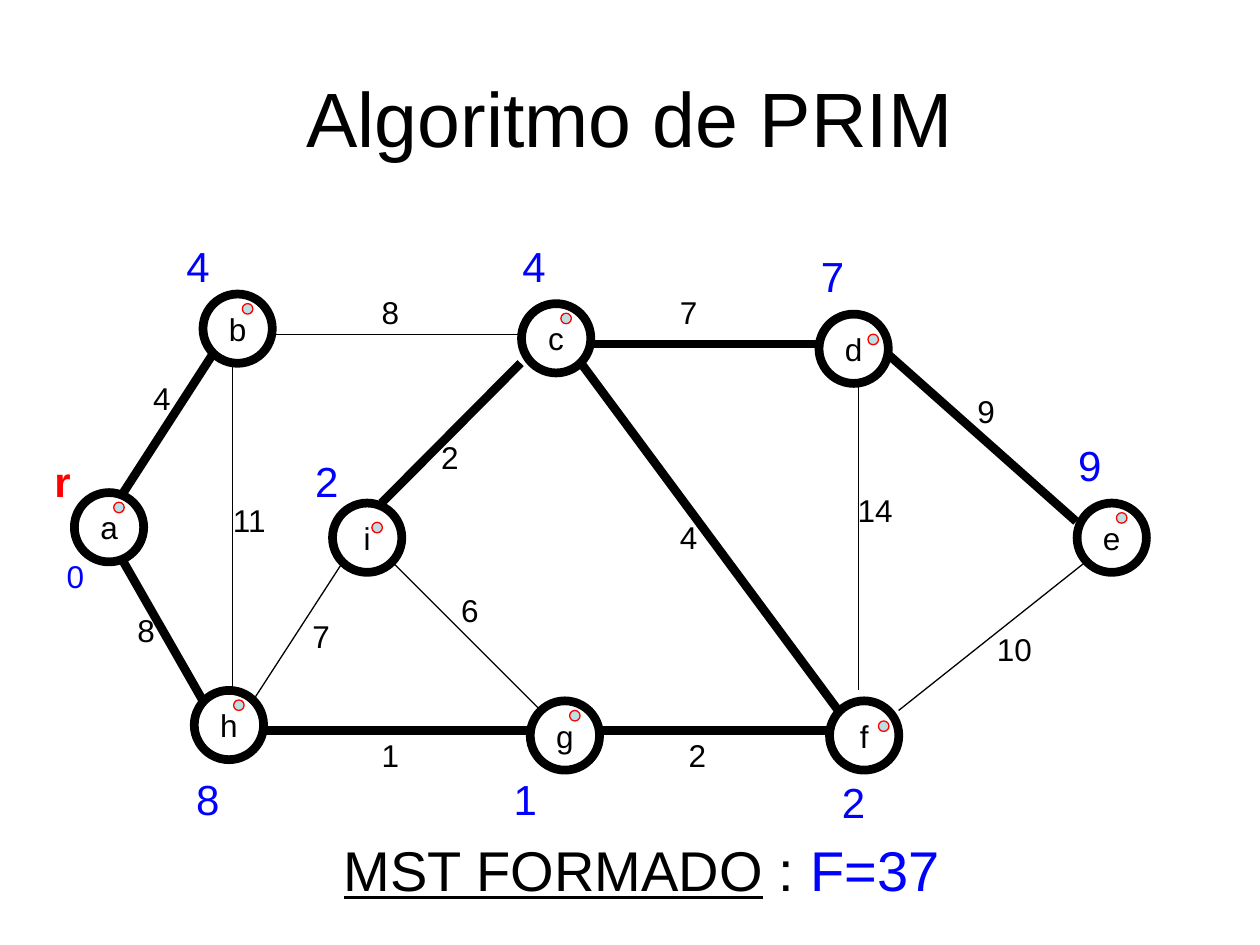
from pptx import Presentation as Deck
from pptx.dml.color import RGBColor as Color
from pptx.enum.shapes import MSO_CONNECTOR as Link, MSO_SHAPE as Kind
from pptx.enum.text import MSO_ANCHOR as Anchor, MSO_AUTO_SIZE as Fit, PP_ALIGN as Align
from pptx.oxml.ns import qn
from pptx.util import Pt
from lxml.etree import SubElement as Sub

BLACK = Color(0, 0, 0)
BLUE = Color(0, 0, 255)
RED = Color(255, 0, 0)
PALE = Color(0xBB, 0xE0, 0xE3)

RING, DOT = 39.6, 6
THICK, THIN = 5, 0.75

NODES = [
    ("a", 18.5, 147.5, 22.5, 5.5),
    ("b", 92, 34, 22.5, 5.5),
    ("h", 87, 260.5, 22.5, 5.5),
    ("i", 166, 153.5, 22.5, 11),
    ("c", 274, 39.5, 22.5, 5.5),
    ("g", 279, 266.5, 22.5, 5.5),
    ("d", 444, 45.5, 28, 11.5),
    ("f", 450, 266.5, 28, 11.5),
    ("e", 591.5, 153.5, 22.5, 5.5),
]

EDGES = [
    (46.5, 147.5, 97.5, 68.5, THICK, "4", 56.5, 79),
    (46.5, 187, 92, 266.5, THICK, "8", 47.5, 211.5),
    (109, 73.5, 109, 260.5, THIN, "11", 102, 149),
    (131.5, 57, 273.5, 57, THIN, "8", 187, 30),
    (308, 73.5, 455, 272, THICK, "4", 357.5, 158.5),
    (313.5, 62.5, 444, 62.5, THICK, "7", 357.5, 30),
    (194, 153.5, 273.5, 73.5, THICK, "2", 221, 113),
    (120.5, 266.5, 172, 187, THIN, "7", 147.5, 215),
    (126.5, 283.5, 279, 283.5, THICK, "1", 187, 283),
    (200, 187, 285, 272, THIN, "6", 232.5, 200),
    (318.5, 283.5, 449, 283.5, THICK, "2", 362.5, 283),
    (466.5, 85, 466.5, 260.5, THIN, "14", 459, 143),
    (489.5, 272, 596.5, 187, THIN, "10", 538.5, 222.5),
    (483.5, 68.5, 591, 164, THICK, "9", 527.5, 86.5),
]

KEYS = [
    ("8", 81, 304.5), ("1", 262.5, 304.5), ("4", 75.5, 0),
    ("2", 149, 122.5), ("4", 267.5, 0), ("2", 450, 306),
    ("7", 438, 5.5), ("9", 585, 113.5),
]


def style(run, size, color=BLACK, **more):
    run.font.color.rgb = color
    for name, value in dict(name="Arial", size=Pt(size), **more).items():
        setattr(run.font, name, value)


def label(slide, box, parts):
    shape = slide.shapes.add_textbox(*map(Pt, box))
    frame = shape.text_frame
    frame.word_wrap = False
    frame.auto_size = Fit.SHAPE_TO_FIT_TEXT
    for text, form in parts:
        run = frame.paragraphs[0].add_run()
        run.text = text
        style(run, **form)


def digit(slide, text, x, y, size=18, color=BLACK):
    wide = 14.4 + 0.56 * size * len(text)
    label(slide, (x, y, wide, 7.2 + 1.2 * size), [(text, dict(size=size, color=color))])


def disc(slide, x, y, size, color, width):
    shape = slide.shapes.add_shape(Kind.OVAL, Pt(x), Pt(y), Pt(size), Pt(size))
    shape.shadow.inherit = False
    shape.fill.background()
    shape.line.color.rgb = color
    shape.line.width = Pt(width)
    return shape


def node(slide, text, x, y):
    frame = disc(slide, x, y, RING, BLACK, THICK).text_frame
    frame.word_wrap = False
    frame.vertical_anchor = Anchor.MIDDLE
    para = frame.paragraphs[0]
    para.alignment = Align.CENTER
    run = para.add_run()
    run.text = text
    style(run, 18)


def edge(slide, ends, width):
    wire = slide.shapes.add_connector(Link.STRAIGHT, *map(Pt, ends))
    wire.line.color.rgb = BLACK
    wire.line.width = Pt(width)
    Sub(wire.element.spPr, qn("a:effectLst"))


def graph(slide, left, top):
    for name, x, y, *_ in NODES:
        node(slide, name, left + x, top + y)
    for x, y, right, low, width, *_ in EDGES:
        edge(slide, (left + x, top + y, left + right, top + low), width)
    for *_, cost, x, y in EDGES:
        digit(slide, cost, left + x, top + y)
    label(slide, (left, top + 122.5, 24, 36), [("r", dict(size=24, color=RED, bold=True))])
    digit(slide, "0", left + 7, top + 180.5, color=BLUE)
    for key, x, y in KEYS:
        digit(slide, key, left + x, top + y, 24, BLUE)
    for _, x, y, across, down in NODES:
        mark = disc(slide, left + x + across, top + y + down, DOT, RED, THIN)
        mark.fill.solid()
        mark.fill.fore_color.rgb = PALE


def title(slide, text, left, top, width, height):
    shape = slide.shapes.title
    place = dict(left=left, top=top, width=width, height=height)
    for name, value in place.items():
        setattr(shape, name, Pt(value))
    frame = shape.text_frame
    frame.vertical_anchor = Anchor.MIDDLE
    para = frame.paragraphs[0]
    para.alignment = Align.CENTER
    run = para.add_run()
    run.text = text
    style(run, 44)


def total(slide, *box):
    label(slide, box, [
        ("MST FORMADO", dict(size=32, underline=True)),
        (" : ", dict(size=32)),
        ("F=37", dict(size=32, color=BLUE)),
    ])


def main():
    deck = Deck()
    deck.slide_width, deck.slide_height = Pt(720), Pt(540)
    slide = deck.slides.add_slide(deck.slide_layouts[5])
    title(slide, "Algoritmo de PRIM", 36, 21.5, 648, 90)
    graph(slide, 24, 134)
    total(slide, 189.5, 474, 355, 46)
    deck.save("out.pptx")


if __name__ == "__main__":
    main()
